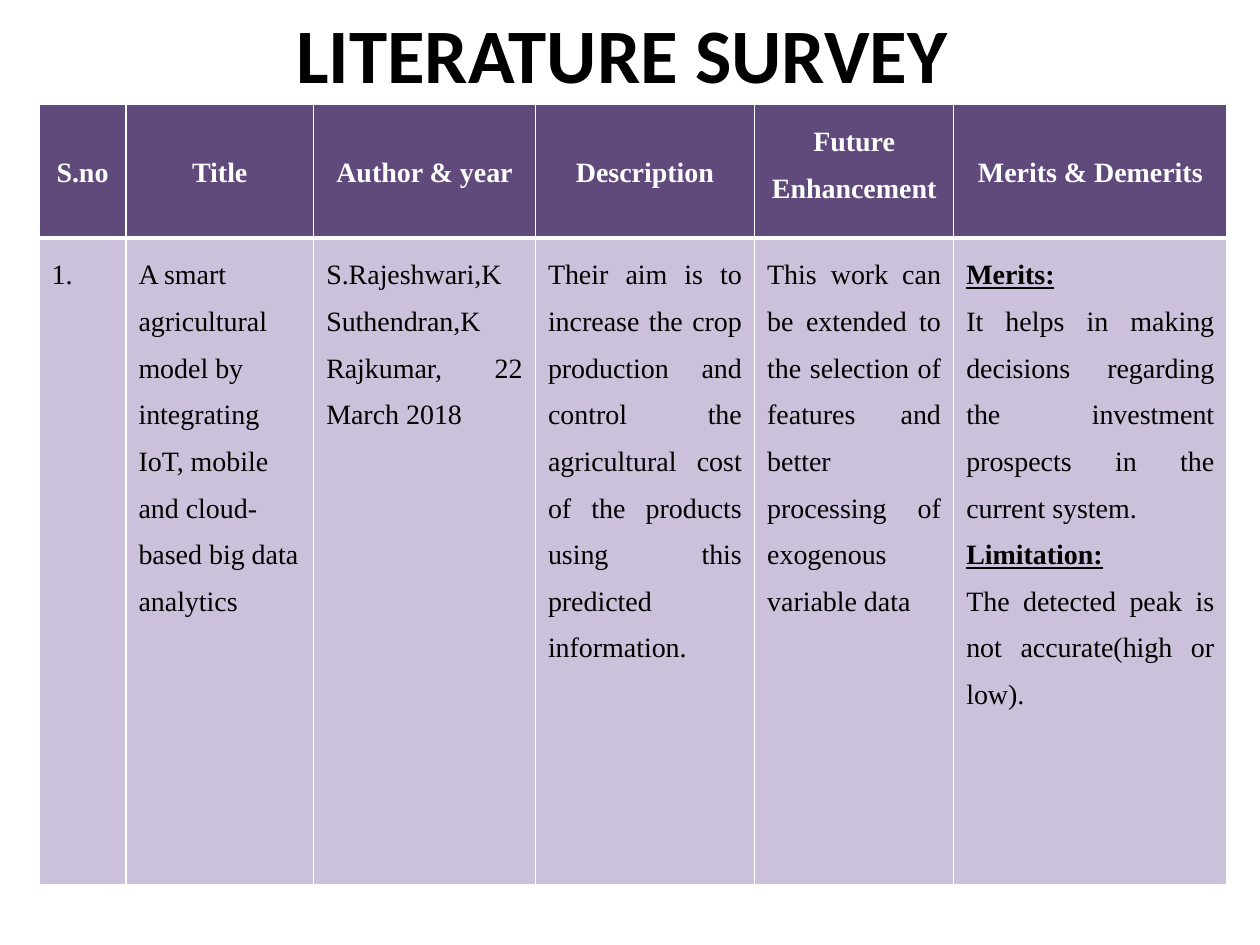
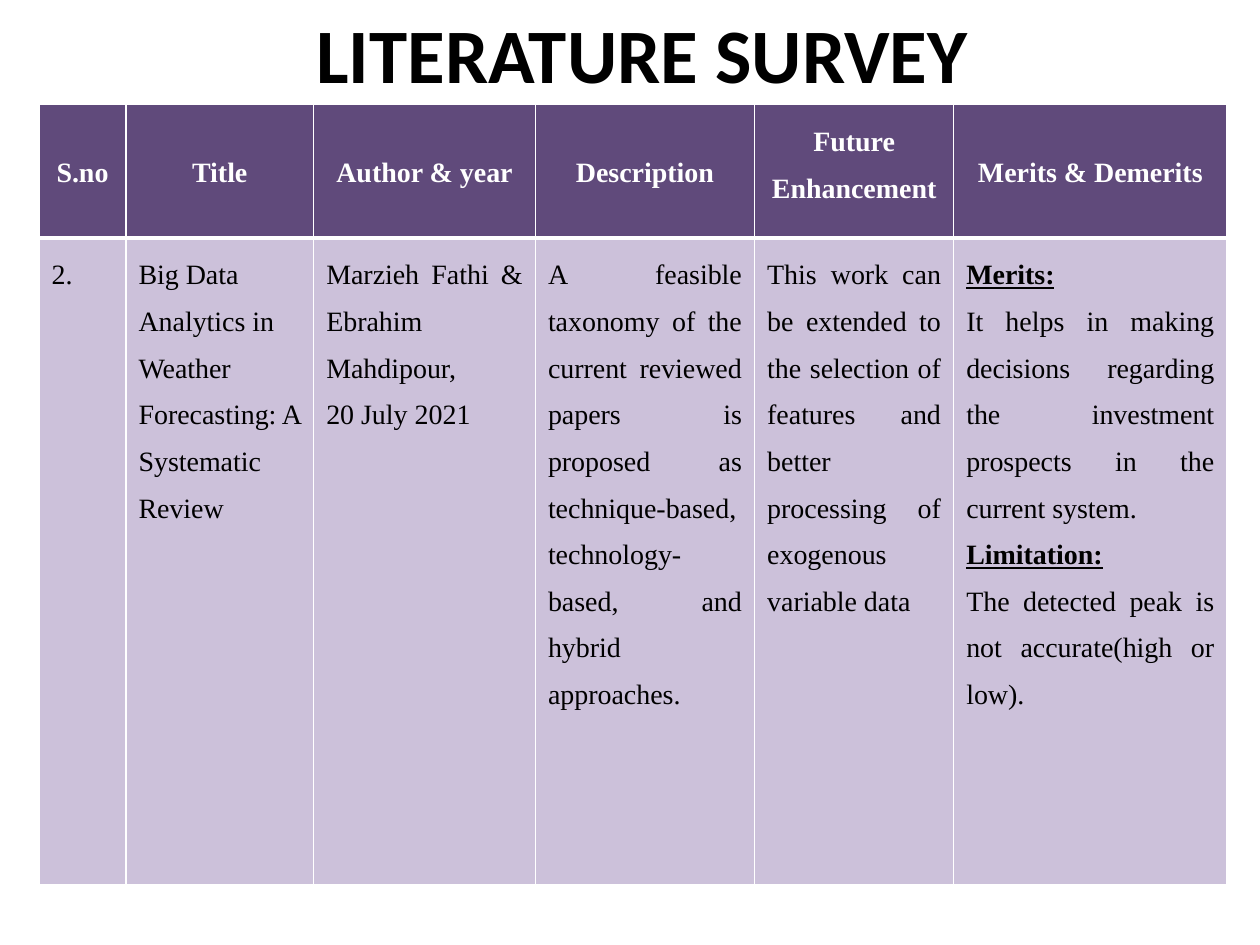
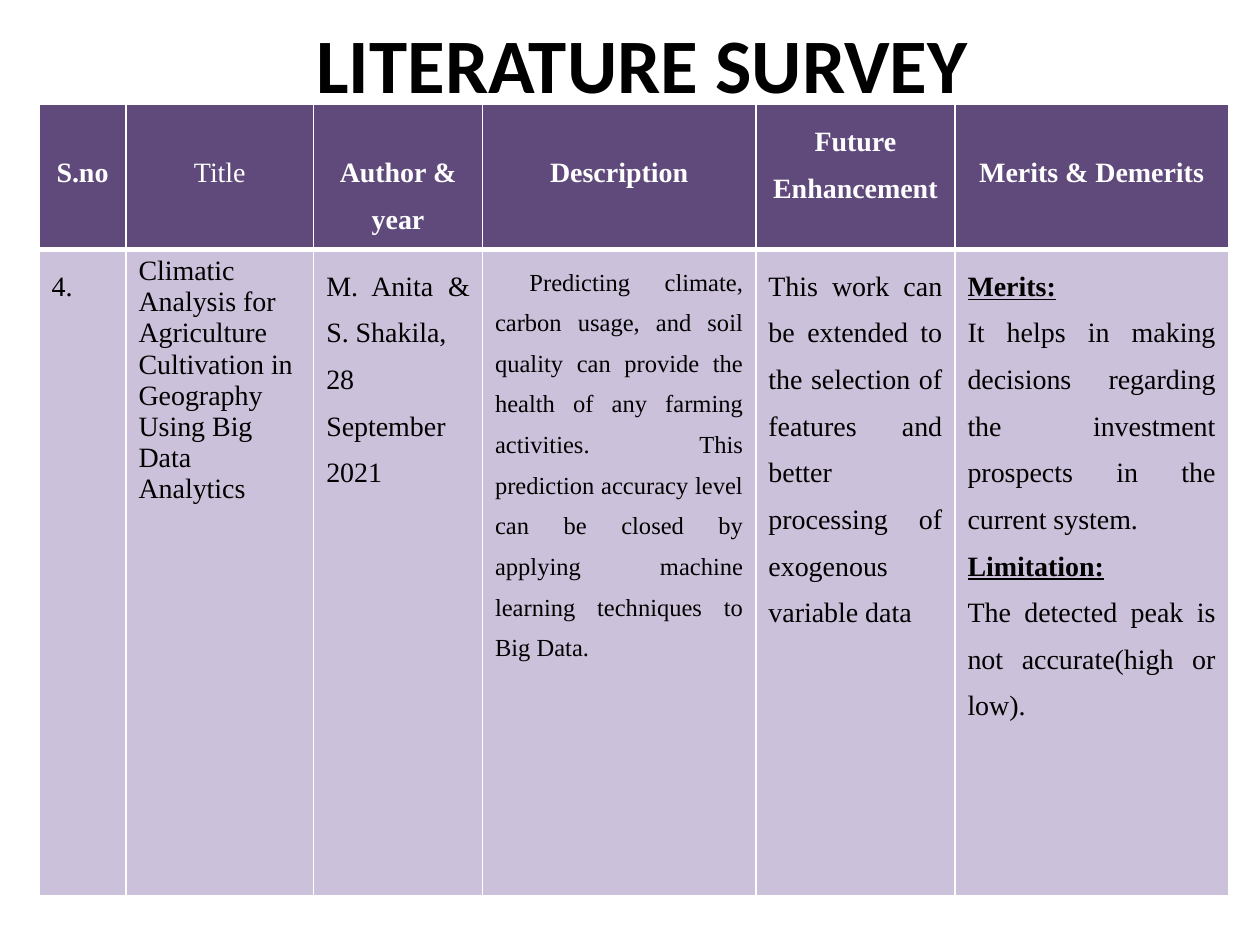
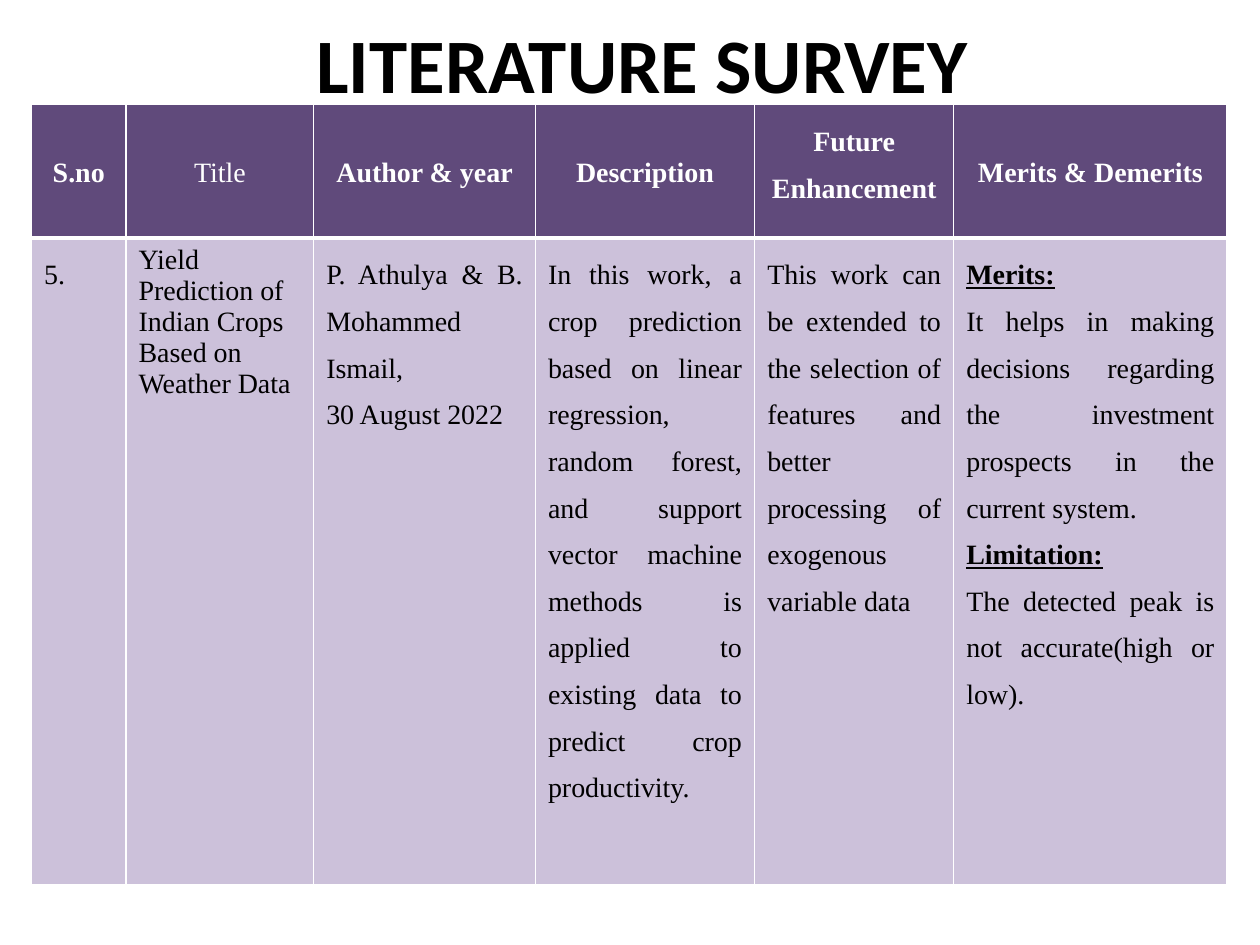
from dataclasses import dataclass

from lxml.etree import SubElement
from pptx import Presentation
from pptx.dml.color import RGBColor as Rgb
from pptx.enum.text import MSO_ANCHOR as Anchor, PP_ALIGN as Align
from pptx.oxml.ns import qn
from pptx.util import Inches, Pt


@dataclass(frozen=True)
class Theme:
    black: str = "000000"
    white: str = "FFFFFF"
    header_fill: str = "604A7B"
    body_fill: str = "CCC1DA"
    title_font: str = "Calibri"
    table_font: str = "Times New Roman"
    title_size: float = 44
    table_size: float = 16
    small_size: float = 14
    line_spacing: float = 1.5
    thin: float = 1
    thick: float = 3


@dataclass(frozen=True)
class Survey:
    number: str
    paper: str
    authors: tuple
    description: str
    title_at: tuple = (1.42, 0.08, 7.36, 0.83)
    table_left: float = 0.31
    columns: tuple = (0.69, 1.49, 1.76, 1.74, 1.58, 2.17)
    bold_title_head: bool = True
    paper_spacing: float = 1.5
    description_size: float = 16


THEME = Theme()
HEADING = "LITERATURE SURVEY"
TABLE_TOP = 0.83
ROW_HEIGHTS = (1.06, 5.13)
HEADER_DROP = 0.3
TALL_HEAD = "Future Enhancement"
HEADS = ("S.no", "Title", "Author & year", "Description", TALL_HEAD, "Merits & Demerits")
ENHANCEMENT = (
    "This work can be extended to the selection of features and better "
    "processing of exogenous variable data"
)
MERITS = (
    ("Merits:", True),
    ("It helps in making decisions regarding the investment prospects in the current system.", False),
    ("Limitation:", True),
    ("The detected peak is not accurate(high or low).", False),
)

SURVEYS = (
    Survey(
        "1.",
        "A smart agricultural model by integrating IoT, mobile and cloud-based big data analytics",
        ("S.Rajeshwari,K Suthendran,K Rajkumar, 22 March 2018",),
        "Their aim is to increase the crop production and control the agricultural cost "
        "of the products using this predicted information.",
        title_at=(1.25, 0.09, 7.38, 0.66),
    ),
    Survey(
        "2.",
        "Big Data Analytics in Weather Forecasting: A Systematic Review",
        ("Marzieh Fathi & Ebrahim Mahdipour,", "20 July 2021"),
        "A feasible taxonomy of the current reviewed papers is proposed as technique-based, "
        "technology-based, and hybrid approaches.",
        title_at=(1.42, 0, 7.36, 0.83),
    ),
    Survey(
        "4.",
        "Climatic Analysis for Agriculture Cultivation in Geography Using Big Data Analytics",
        ("M. Anita & S. Shakila,", "28 September 2021"),
        " Predicting climate, carbon usage, and soil quality can provide the health of any "
        "farming activities. This prediction accuracy level can be closed by applying "
        "machine learning techniques to Big Data.",
        columns=(0.69, 1.49, 1.34, 2.17, 1.58, 2.17),
        bold_title_head=False,
        paper_spacing=1.0,
        description_size=THEME.small_size,
    ),
    Survey(
        "5.",
        "Yield Prediction of Indian Crops Based on Weather Data",
        ("P. Athulya & B. Mohammed Ismail,", "30 August 2022"),
        "In this work, a crop prediction based on linear regression, random forest, and "
        "support vector machine methods is applied to existing data to predict crop productivity.",
        table_left=0.25,
        columns=(0.75, 1.49, 1.76, 1.74, 1.58, 2.17),
        bold_title_head=False,
        paper_spacing=1.0,
    ),
)


def apply_format(target, values):
    for name, value in values.items():
        setattr(target, name, value)


def write_para(para, text, color, font, para_format):
    apply_format(para, para_format)
    span = para.add_run()
    span.text = text
    apply_format(span.font, font)
    span.font.color.rgb = Rgb.from_string(color)


def add_title(page, place):
    box = page.shapes.add_textbox(*map(Inches, place))
    frame = box.text_frame
    apply_format(frame, {"word_wrap": True, "vertical_anchor": Anchor.MIDDLE})
    font = {"name": THEME.title_font, "size": Pt(THEME.title_size), "bold": True}
    write_para(frame.paragraphs[0], HEADING, THEME.black, font, {"alignment": Align.CENTER})


def set_borders(cell, widths):
    properties = cell._tc.get_or_add_tcPr()
    for position, (side, width) in enumerate(widths.items()):
        line = SubElement(properties, qn(f"a:ln{side}"), w=str(Pt(width)))
        fill = SubElement(line, qn("a:solidFill"))
        SubElement(fill, qn("a:srgbClr"), val=THEME.white)
        properties.remove(line)
        properties.insert(position, line)


def style_cell(cell, color, heavy_side):
    cell.fill.solid()
    cell.fill.fore_color.rgb = Rgb.from_string(color)
    set_borders(cell, {side: THEME.thick if side == heavy_side else THEME.thin for side in "LRTB"})


def fill_header(cell, text, bold):
    style_cell(cell, THEME.header_fill, "B")
    if text != TALL_HEAD:
        cell.margin_top = Inches(HEADER_DROP)
    font = {"name": THEME.table_font, "size": Pt(THEME.table_size), "bold": bold}
    layout = {"alignment": Align.CENTER, "line_spacing": THEME.line_spacing}
    write_para(cell.text_frame.paragraphs[0], text, THEME.white, font, layout)


def fill_body(cell, lines, size=THEME.table_size, alignment=Align.JUSTIFY, spacing=THEME.line_spacing):
    style_cell(cell, THEME.body_fill, "T")
    frame = cell.text_frame
    for index, (text, marked) in enumerate(lines):
        para = frame.add_paragraph() if index else frame.paragraphs[0]
        font = {"name": THEME.table_font, "size": Pt(size), "bold": marked, "underline": marked}
        write_para(para, text, THEME.black, font, {"alignment": alignment, "line_spacing": spacing})


def plain(*texts):
    return [(text, False) for text in texts]


def add_survey_table(page, survey):
    place = (survey.table_left, TABLE_TOP, sum(survey.columns), sum(ROW_HEIGHTS))
    table = page.shapes.add_table(2, len(HEADS), *map(Inches, place)).table
    apply_format(table, {"first_row": False, "horz_banding": False})
    for column, width in zip(table.columns, survey.columns):
        column.width = Inches(width)
    for row, height in zip(table.rows, ROW_HEIGHTS):
        row.height = Inches(height)
    for index, head in enumerate(HEADS):
        fill_header(table.cell(0, index), head, survey.bold_title_head or head != "Title")
    number, paper, authors, description, enhancement, merits = table.rows[1].cells
    fill_body(number, plain(survey.number))
    fill_body(paper, plain(survey.paper), alignment=Align.LEFT, spacing=survey.paper_spacing)
    fill_body(authors, plain(*survey.authors))
    fill_body(description, plain(survey.description), size=survey.description_size)
    fill_body(enhancement, plain(ENHANCEMENT))
    fill_body(merits, MERITS)


def main():
    deck = Presentation()
    apply_format(deck, {"slide_width": Inches(10), "slide_height": Inches(7.5)})
    for survey in SURVEYS:
        page = deck.slides.add_slide(deck.slide_layouts[6])
        add_title(page, survey.title_at)
        add_survey_table(page, survey)
    deck.save("out.pptx")


if __name__ == "__main__":
    main()
